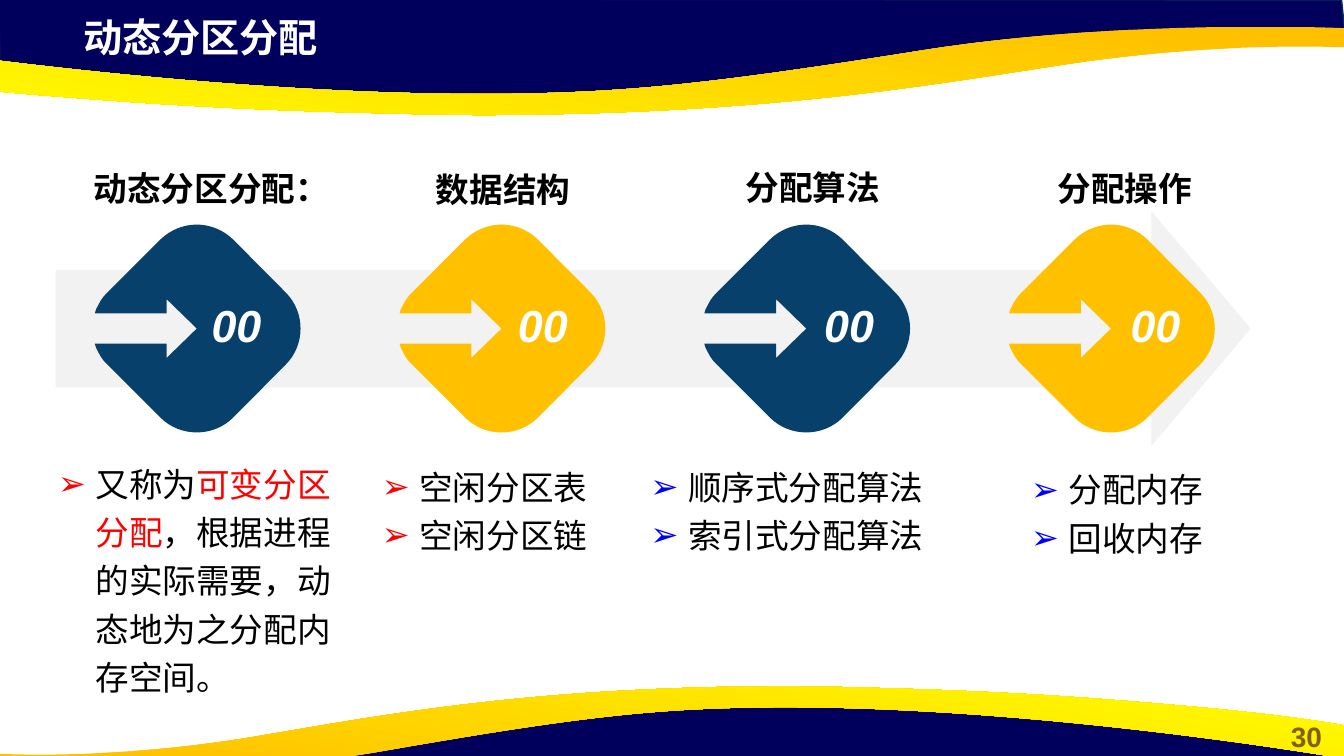
from lxml.etree import SubElement
from pptx import Presentation
from pptx.dml.color import RGBColor
from pptx.enum.shapes import MSO_SHAPE as Shape
from pptx.enum.text import MSO_ANCHOR as Anchor, PP_ALIGN as Align
from pptx.oxml.ns import qn
from pptx.util import Cm, Pt

WIDTH, HEIGHT = 33.87, 19.05
NAVY, BLUE, GOLD, YELLOW = "00005C", "07416B", "FFC000", "FFFF00"
BLACK, WHITE, RED, BULLET_BLUE = "000000", "FFFFFF", "FF0000", "0000FF"

HEADER_EDGE = [[(-0.03, -0.03)], [(0, 1.78)], [(7.44, 2.59)], [(14.2, 2.54)],
               [(20.19, 2.24)], [(25.81, 1.27)], [(31.45, 0.84)], [(33.91, 0.97)],
               [(33.81, 0)]]
RIBBON = [
    [(12.27, 2.9)],
    [(11.25, 2.9), (10.19, 2.87), (9.04, 2.84)],
    [(5.23, 2.74), (2.79, 2.54), (0.91, 2.39)],
    [(-2.24, 2.13), (-3.3, 1.91), (-3.38, 1.91)],
    [(-3.38, 1.07)],
    [(-3.38, 1.07), (5.54, 2.49), (13.13, 2.36)],
    [(15.9, 2.31), (17.98, 2.11), (23.24, 1.27)],
    [(28.35, 0.46), (WIDTH, 0.71), (WIDTH, 0.71)],
    [(WIDTH, 1.19)],
    [(33.78, 1.19)],
    [(33.15, 1.17), (30.35, 1.09), (26.8, 1.63)],
    [(23.32, 2.16), (19.35, 2.87), (12.27, 2.9)],
]
DIAMOND = [
    [(0, -2.62)],
    [(0.33, -2.62), (0.66, -2.49), (0.91, -2.25)],
    [(2.24, -0.91)],
    [(2.74, -0.41), (2.74, 0.41), (2.24, 0.91)],
    [(0.91, 2.25)],
    [(0.41, 2.74), (-0.41, 2.74), (-0.91, 2.25)],
    [(-2.25, 0.91)],
    [(-2.39, 0.79), (-2.46, 0.64), (-2.54, 0.48)],
    [(-2.57, 0.38)], [(-0.76, 0.38)], [(-0.76, 0.74)], [(0, 0)],
    [(-0.76, -0.74)], [(-0.76, -0.38)], [(-2.57, -0.38)], [(-2.54, -0.48)],
    [(-2.46, -0.64), (-2.39, -0.79), (-2.25, -0.91)],
    [(-0.91, -2.25)],
    [(-0.66, -2.49), (-0.33, -2.62), (0, -2.62)],
]

STAGES = [
    dict(color=BLUE, heading="动态分区分配：", heading_box=(1.59, 4.11, 7.47, 1.09),
         spacing=1.0, body_box=(1.21, 11.35, 7.54, 4.06), bullet=RED,
         points=[[("又称为", BLACK), ("可变分区分配", RED),
                  ("，根据进程的实际需要，动态地为之分配内存空间。", BLACK)]]),
    dict(color=GOLD, heading="数据结构", heading_box=(8.07, 4.04, 9.22, 1.09),
         spacing=1.1, body_box=(9.37, 11.43, 6.32, 2.39), bullet=RED,
         points=[[("空闲分区表", BLACK)], [("空闲分区链", BLACK)]]),
    dict(color=BLUE, heading="分配算法", heading_box=(17.21, 4.08, 6.55, 1.09),
         spacing=1.0, body_box=(16.14, 11.43, 7.62, 1.47), bullet=BULLET_BLUE,
         points=[[("顺序式分配算法", BLACK)], [("索引式分配算法", BLACK)]]),
    dict(color=GOLD, heading="分配操作", heading_box=(24.05, 4.11, 8.59, 1.09),
         spacing=1.0, body_box=(25.73, 11.5, 6.58, 2.31), bullet=BULLET_BLUE,
         points=[[("分配内存", BLACK)], [("回收内存", BLACK)]]),
]


def rgb(color):
    return RGBColor.from_string(color)


def move(segments, origin, scale=(1, 1)):
    return [[(origin[0] + x * scale[0], origin[1] + y * scale[1]) for x, y in segment]
            for segment in segments]


def add_outline(slide, segments):
    corners = [(Cm(x), Cm(y)) for segment in segments for x, y in segment]
    builder = slide.shapes.build_freeform(*corners[0])
    builder.add_line_segments(corners[1:])
    outline = builder.convert_to_shape()
    lines = iter(list(outline._element.iter(qn("a:lnTo"))))
    for segment in segments[1:]:
        first, *others = [next(lines) for _ in segment]
        if others:
            first.tag = qn("a:cubicBezTo")
            for line in others:
                first.append(line[0])
                line.getparent().remove(line)
    outline.shadow.inherit = False
    outline.line.fill.background()
    return outline


def paint(shape, color):
    shape.fill.solid()
    shape.fill.fore_color.rgb = rgb(color)


def style(run, size, color, bold=False, italic=False):
    run.font.name = "Arial"
    run.font.size = Pt(size)
    run.font.bold = bold
    run.font.italic = italic
    run.font.color.rgb = rgb(color)


def add_frame(slide, box):
    frame = slide.shapes.add_textbox(*map(Cm, box)).text_frame
    frame.word_wrap = True
    return frame


def add_label(slide, box, text, size, color, align=Align.CENTER, italic=False,
              anchor=Anchor.TOP, spacing=1.0):
    frame = add_frame(slide, box)
    frame.vertical_anchor = anchor
    frame.text = text
    line = frame.paragraphs[0]
    line.alignment = align
    line.line_spacing = spacing
    style(line.runs[0], size, color, True, italic)


def add_band(slide, edge, ribbon, angle):
    backdrop = add_outline(slide, edge)
    paint(backdrop, NAVY)
    backdrop.line.color.rgb = rgb("05304F")
    backdrop.line.width = Pt(1)
    fill = add_outline(slide, ribbon).fill
    fill.gradient()
    fill.gradient_angle = angle
    for stop, position, color in zip(fill.gradient_stops, (0.11, 1), (GOLD, YELLOW)):
        stop.position = position
        stop.color.rgb = rgb(color)


def add_header(slide, title):
    add_band(slide, HEADER_EDGE, RIBBON, 260)
    add_label(slide, (1.85, 0.22, 19.51, 1.45), title, 28, WHITE, Align.LEFT)


def add_footer(slide, number):
    edge = move(HEADER_EDGE, (33.83, 20.14), (-1, -1))
    ribbon = move(RIBBON, (30.8, 20.19), (-0.91, -1))
    ribbon = move(ribbon, (3.05, 0))
    ribbon = move(RIBBON, (WIDTH * 0.91, 20.19), (-0.91, -1))
    add_band(slide, edge, ribbon, 80)
    add_label(slide, (32, 18.01, 1.85, 1.12), number, 20, "806000")


def add_timeline(slide, left, top, width, height):
    arrow = slide.shapes.add_shape(Shape.RIGHT_ARROW, *map(Cm, (left, top, width, height)))
    arrow.adjustments[0], arrow.adjustments[1] = 0.5, 0.423
    arrow.shadow.inherit = False
    arrow.line.fill.background()
    paint(arrow, "F2F2F2")
    middle = top + height / 2
    for index, stage in enumerate(STAGES):
        marker = add_outline(slide, move(DIAMOND, (left + 3.56 + 7.68 * index, middle)))
        paint(marker, stage["color"])
    for index in range(len(STAGES)):
        add_label(slide, (left + 3.58 + 7.72 * index, middle - 1.05, 1.96, 1.88), "00",
                  32, WHITE, italic=True, anchor=Anchor.MIDDLE)


def add_points(slide, box, points, bullet):
    frame = add_frame(slide, box)
    for index, parts in enumerate(points):
        line = frame.add_paragraph() if index else frame.paragraphs[0]
        props = line._p.get_or_add_pPr()
        props.set("marL", str(Cm(0.95)))
        props.set("indent", str(-Cm(0.95)))
        SubElement(SubElement(props, qn("a:buClr")), qn("a:srgbClr"), val=bullet)
        SubElement(props, qn("a:buFont"), typeface="Arial")
        SubElement(props, qn("a:buChar"), char="➢")
        line.line_spacing = 1.2
        for text, color in parts:
            run = line.add_run()
            run.text = text
            style(run, 24, color)


def add_stage_text(slide, stage):
    add_label(slide, stage["heading_box"], stage["heading"], 24, BLACK,
              spacing=stage["spacing"])
    add_points(slide, stage["body_box"], stage["points"], stage["bullet"])


def main():
    deck = Presentation()
    deck.slide_width, deck.slide_height = Cm(WIDTH), Cm(HEIGHT)
    slide = deck.slides.add_slide(deck.slide_layouts[6])
    add_header(slide, "动态分区分配")
    add_footer(slide, "30")
    add_timeline(slide, 1.4, 5.32, 30.12, 5.92)
    for stage in STAGES:
        add_stage_text(slide, stage)
    deck.save("out.pptx")


if __name__ == "__main__":
    main()
